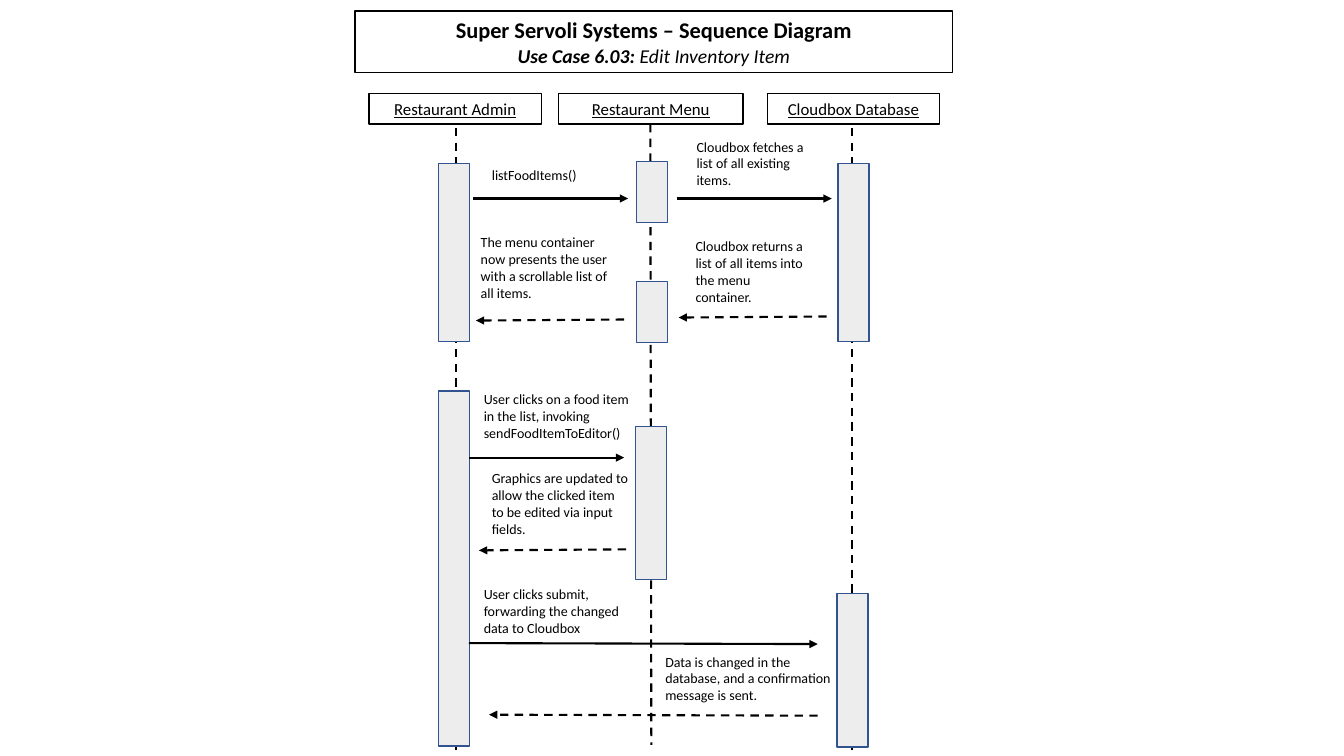
from pptx import Presentation
from pptx.dml.color import RGBColor
from pptx.enum import dml, shapes, text
from pptx.oxml.ns import qn
from pptx.util import Inches, Pt

BLACK = RGBColor(0x00, 0x00, 0x00)
WHITE = RGBColor(0xFF, 0xFF, 0xFF)
BAR_FILL = RGBColor(0xED, 0xED, 0xED)
BAR_EDGE = RGBColor(0x31, 0x53, 0x8F)
FONT = "Calibri"
BAR_WIDTH = 0.31

# name, left, width of each participant
PARTICIPANTS = [
    ("Restaurant Admin", 3.66, 1.71),
    ("Restaurant Menu", 5.54, 1.83),
    ("Cloudbox Database", 7.61, 1.71),
]

# start and end of each lifeline
LIFELINES = [
    ((4.52, 1.27), (4.52, 7.44)),
    ((6.45, 1.23), (6.46, 7.39)),
    ((8.45, 1.27), (8.45, 7.44)),
]

# left, top, height of each activation bar
ACTIVATIONS = [
    (4.35, 1.62, 1.77), (4.35, 3.88, 3.52),
    (6.31, 1.6, 0.61), (6.31, 2.79, 0.61), (6.3, 4.23, 1.52),
    (8.31, 1.62, 1.77), (8.3, 5.89, 1.52),
]

# start, end of each arrow
CALLS = [
    ((4.69, 1.97), (6.23, 1.97)),
    ((6.71, 1.97), (8.25, 1.97)),
    ((4.65, 4.54), (6.19, 4.54)),
    ((4.65, 6.38), (8.11, 6.39)),
]
REPLIES = [
    ((8.2, 3.14), (6.73, 3.15)),
    ((6.19, 3.17), (4.72, 3.18)),
    ((6.21, 5.45), (4.75, 5.46)),
    ((8.11, 7.1), (4.85, 7.09)),
]

# wording, left, top, width, height, margin above and below
MESSAGES = [
    ("listFoodItems()", 4.78, 1.6, 1.56, 0.27, 0.05),
    ("Cloudbox fetches a list of all existing items.",
     6.81, 1.27, 1.32, 0.61, 0.1),
    ("Cloudbox returns a list of all items into the menu container.",
     6.8, 2.26, 1.32, 0.88, 0.1),
    ("The menu container now presents the user with a scrollable list of "
     "all items.", 4.67, 2.27, 1.56, 0.61, 0.05),
    ("User clicks on a food item in the list, invoking "
     "sendFoodItemToEditor()", 4.7, 3.83, 1.71, 0.27, 0.05),
    ("Graphics are updated to allow the clicked item to be edited via input "
     "fields.", 4.78, 4.61, 1.56, 0.56, 0.05),
    ("User clicks submit, forwarding the changed data to Cloudbox",
     4.7, 5.76, 1.71, 0.61, 0.05),
    ("Data is changed in the database, and a confirmation message is sent.",
     6.5, 6.43, 1.91, 0.61, 0.05),
]


def style_font(font, size):
    font.name = FONT
    font.size = Pt(size)
    font.color.rgb = BLACK


def outline(shape, color):
    shape.line.color.rgb = color
    shape.line.width = Pt(1)


def add_heading(slide):
    heading = slide.shapes.title
    heading.left, heading.top = Inches(3.52), Inches(0.11)
    heading.width, heading.height = Inches(5.93), Inches(0.61)
    outline(heading, BLACK)
    frame = heading.text_frame
    frame.auto_size = text.MSO_AUTO_SIZE.NONE
    frame.vertical_anchor = text.MSO_ANCHOR.MIDDLE

    system = frame.paragraphs[0]
    system.text = "Super Servoli Systems – Sequence Diagram"
    system.font.bold = True
    style_font(system.font, 16)

    use_case = frame.add_paragraph()
    for wording, bold in (("Use Case 6.03: ", True),
                          ("Edit Inventory Item", False)):
        run = use_case.add_run()
        run.text = wording
        run.font.bold = bold
    use_case.font.italic = True
    style_font(use_case.font, 14)
    for paragraph in frame.paragraphs:
        paragraph.alignment = text.PP_ALIGN.CENTER


def add_box(slide, left, top, width, height, fill, edge):
    box = slide.shapes.add_shape(
        shapes.MSO_SHAPE.RECTANGLE,
        Inches(left), Inches(top), Inches(width), Inches(height))
    box.shadow.inherit = False
    box.fill.solid()
    box.fill.fore_color.rgb = fill
    outline(box, edge)
    return box


def add_participant(slide, name, left, width):
    box = add_box(slide, left, 0.93, width, 0.3, WHITE, BLACK)
    label = box.text_frame.paragraphs[0]
    label.text = name
    label.alignment = text.PP_ALIGN.CENTER
    label.font.underline = True
    style_font(label.font, 12)


def add_line(slide, start, end, dashed=False, arrow=False):
    line = slide.shapes.add_connector(
        shapes.MSO_CONNECTOR.STRAIGHT,
        *(Inches(length) for length in start + end))
    line.line.color.rgb = BLACK
    line.line.width = Pt(1.5)
    if dashed:
        line.line.dash_style = dml.MSO_LINE.DASH
    properties = line._element.spPr
    if arrow:
        head = properties.find(qn("a:ln")).makeelement(
            qn("a:tailEnd"), {"type": "triangle"})
        properties.find(qn("a:ln")).append(head)
    properties.append(properties.makeelement(qn("a:effectLst"), {}))


def add_message(slide, wording, left, top, width, height, margin):
    box = slide.shapes.add_textbox(
        Inches(left), Inches(top), Inches(width), Inches(height))
    frame = box.text_frame
    frame.word_wrap = True
    frame.margin_top = frame.margin_bottom = Inches(margin)
    message = frame.paragraphs[0]
    message.text = wording
    style_font(message.font, 10)


def main():
    deck = Presentation()
    deck.slide_width, deck.slide_height = Inches(13.33), Inches(7.5)
    slide = deck.slides.add_slide(deck.slide_layouts.get_by_name("Title Only"))

    add_heading(slide)
    for participant in PARTICIPANTS:
        add_participant(slide, *participant)
    for start, end in LIFELINES:
        add_line(slide, start, end, dashed=True)
    for left, top, height in ACTIVATIONS:
        add_box(slide, left, top, BAR_WIDTH, height, BAR_FILL, BAR_EDGE)
    for start, end in CALLS:
        add_line(slide, start, end, arrow=True)
    for start, end in REPLIES:
        add_line(slide, start, end, dashed=True, arrow=True)
    for message in MESSAGES:
        add_message(slide, *message)

    deck.save("out.pptx")


if __name__ == "__main__":
    main()
